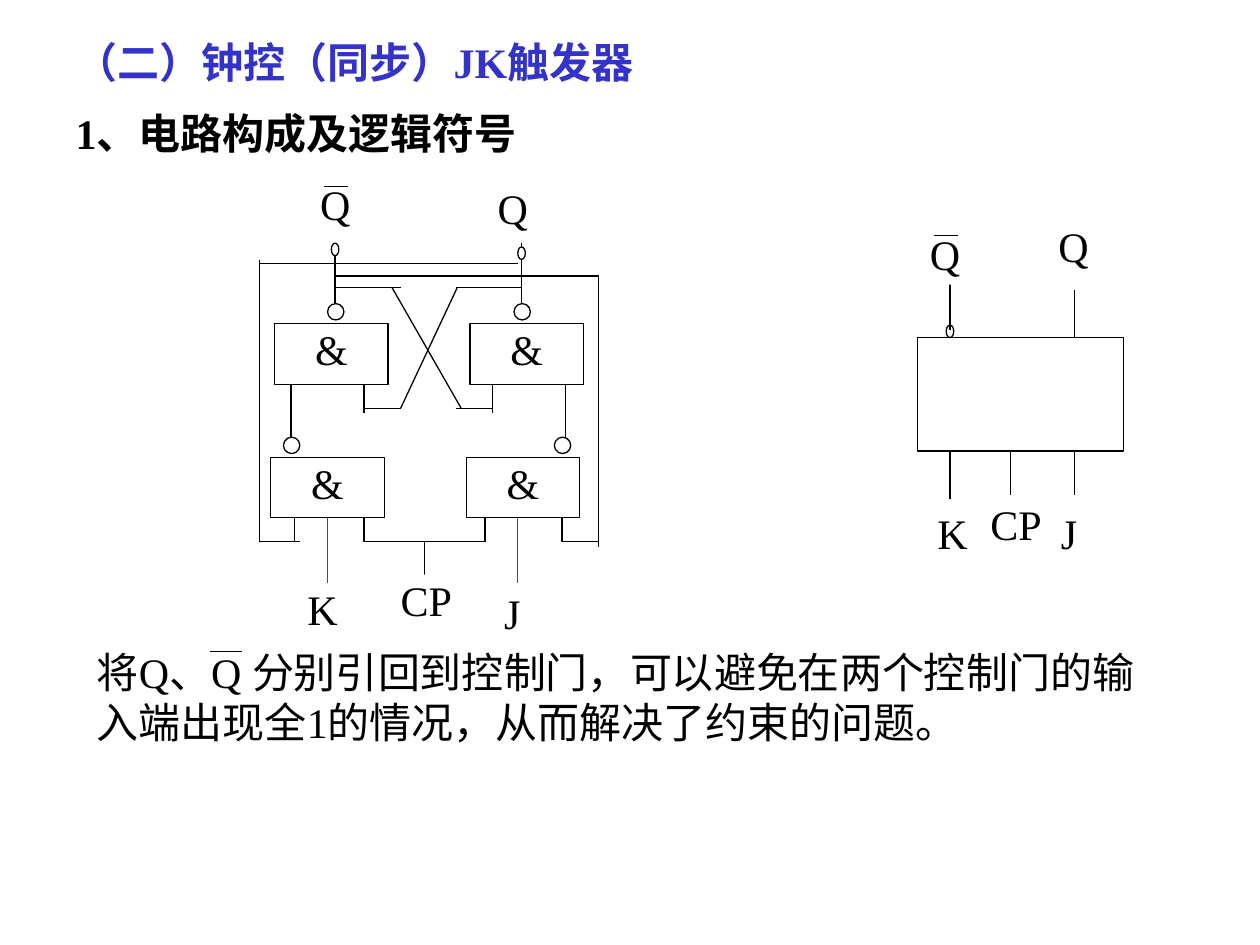
from lxml import etree
from pptx import Presentation
from pptx.dml.color import RGBColor
from pptx.enum.shapes import MSO_CONNECTOR, MSO_SHAPE
from pptx.enum.text import MSO_ANCHOR, MSO_AUTO_SIZE, PP_ALIGN
from pptx.oxml.ns import qn
from pptx.util import Emu, Pt

RECT, OVAL = MSO_SHAPE.RECTANGLE, MSO_SHAPE.OVAL
STRAIGHT = MSO_CONNECTOR.STRAIGHT
TOP, NO_FIT = MSO_ANCHOR.TOP, MSO_AUTO_SIZE.NONE
CENTER, LEFT, JUSTIFY = PP_ALIGN.CENTER, PP_ALIGN.LEFT, PP_ALIGN.JUSTIFY

COLORS = {"ink": "000000", "paper": "FFFFFF", "heading": "3333CC", "input": "FF0000"}
FONT = "Times New Roman"
PX = 9144  # 100 px to the inch
GATE_W, GATE_H = 90, 48


def px(n):
    return Emu(n * PX)


def color(name):
    return RGBColor.from_string(COLORS[name])


def write(p, text, ink="ink", bold=False, align=JUSTIFY, before=0):
    p.alignment = align
    p.space_before = Pt(before)
    r = p.add_run()
    r.text = text
    r.font.name, r.font.size, r.font.bold = FONT, Pt(24), bold
    r.font.color.rgb = color(ink)


def wire(s, box, x1, y1, x2, y2, ink="ink"):
    x, y = box
    line = s.shapes.add_connector(STRAIGHT, px(x + x1), px(y + y1), px(x + x2), px(y + y2))
    line.line.color.rgb = color(ink)
    line.line.width = Pt(0.75)
    etree.SubElement(line._element.spPr, qn("a:effectLst"))


def block(s, box, kind, left, top, width, height, outlined=True):
    x, y = box
    sp = s.shapes.add_shape(kind, px(x + left), px(y + top), px(width), px(height))
    sp.shadow.inherit = False
    sp.fill.solid()
    sp.fill.fore_color.rgb = color("paper")
    if outlined:
        sp.line.color.rgb = color("ink")
        sp.line.width = Pt(0.75)
    else:
        sp.line.fill.background()
    return sp


def set_frame(sp, inset_x=0, inset_y=0):
    tf = sp.text_frame
    tf.word_wrap, tf.vertical_anchor, tf.auto_size = True, TOP, NO_FIT
    tf.margin_left = tf.margin_right = px(inset_x)
    tf.margin_top = tf.margin_bottom = px(inset_y)
    return tf


def label(s, box, text, left, top, width=35, indent=0):
    sp = block(s, box, RECT, left, top, width, 45, outlined=False)
    tf = set_frame(sp)
    tf.margin_left = px(indent)
    write(tf.paragraphs[0], text)


def q_bar(s, box, left, top):
    label(s, box, "Q", left, top)
    wire(s, box, left + 3, top + 6, left + 22, top + 6)


def gate(s, box, left, top):
    sp = block(s, box, RECT, left, top, GATE_W, GATE_H)
    write(set_frame(sp, 10).paragraphs[0], "&", align=CENTER)


def terminal(s, box, left, top):
    block(s, box, OVAL, left, top, 6, 10)


def headings(s, box):
    title = s.shapes.title
    title.left, title.top = px(box[0]), px(box[1])
    title.width, title.height = px(867), px(111)
    tf = set_frame(title, 10, 5)
    write(tf.paragraphs[0], "（二）钟控（同步）JK触发器", ink="heading", bold=True)
    write(tf.add_paragraph(), "1、电路构成及逻辑符号", bold=True, before=12)


def circuit(s, box):
    # Latch: left half, then its mirror image
    half = [(60, 99, 60, 51), (25, 163, 25, 215), (83, 163, 83, 186),
            (83, 182, 112, 182), (60, 86, 112, 86)]
    for x1, y1, x2, y2 in half:
        wire(s, box, x1, y1, x2, y2)
        wire(s, box, 268 - x1, y1, 268 - x2, y2)
    # Cross coupling
    wire(s, box, 157, 86, 112, 182)
    wire(s, box, 105, 86, 160, 182)
    # Clock
    for ends in [(83, 269, 83, 288), (83, 288, 179, 288),
                 (179, 288, 179, 269), (131, 288, 131, 314)]:
        wire(s, box, *ends)
    # Feedback from Q to K and from Q-bar to J
    for ends in [(28, 269, 28, 288), (32, 288, 0, 288), (0, 288, 0, 64), (0, 67, 205, 67),
                 (240, 269, 240, 288), (240, 288, 269, 288),
                 (269, 292, 269, 77), (269, 77, 60, 77)]:
        wire(s, box, *ends)
    # J and K inputs
    for x in (54, 205):
        wire(s, box, x, 269, x, 321, ink="input")
    # Gates, inversion bubbles and output terminals
    for left, top in [(12, 115), (167, 115), (9, 221), (164, 221)]:
        gate(s, box, left, top)
    for left, top in [(54, 99), (202, 99), (19, 205), (234, 205)]:
        block(s, box, OVAL, left, top, 13, 13)
    terminal(s, box, 57, 51)
    terminal(s, box, 205, 54)
    # Labels
    q_bar(s, box, 48, 0)
    label(s, box, "Q", 189, 3)
    label(s, box, "K", 38, 321)
    label(s, box, "CP", 112, 314, width=45)
    label(s, box, "J", 186, 324, indent=8)


def logic_symbol(s, box):
    block(s, box, RECT, 0, 93, 164, 90)
    terminal(s, box, 23, 83)
    for ends in [(26, 183, 26, 221), (74, 183, 74, 218), (125, 183, 125, 218),
                 (125, 93, 125, 55), (26, 87, 26, 48)]:
        wire(s, box, *ends)
    q_bar(s, box, 10, 6)
    label(s, box, "Q", 112, 0, width=38)
    label(s, box, "K", 16, 228)
    label(s, box, "J", 106, 228, indent=8)
    label(s, box, "CP", 58, 221, width=45)


def explanation(s, box):
    sp = s.shapes.add_textbox(px(box[0]), px(box[1]), px(858), px(90))
    write(set_frame(sp, 10, 5).paragraphs[0],
          "将Q、Q 分别引回到控制门，可以避免在两个控制门的"
          "输入端出现全1的情况，从而解决了约束的问题。", align=LEFT)
    wire(s, box, 100, 9, 125, 9)


def main():
    prs = Presentation()
    prs.slide_width, prs.slide_height = px(1000), px(750)
    s = prs.slides.add_slide(prs.slide_layouts[5])
    headings(s, (50, 24))
    circuit(s, (206, 142))
    logic_symbol(s, (728, 175))
    explanation(s, (67, 508))
    prs.save("out.pptx")


if __name__ == "__main__":
    main()
